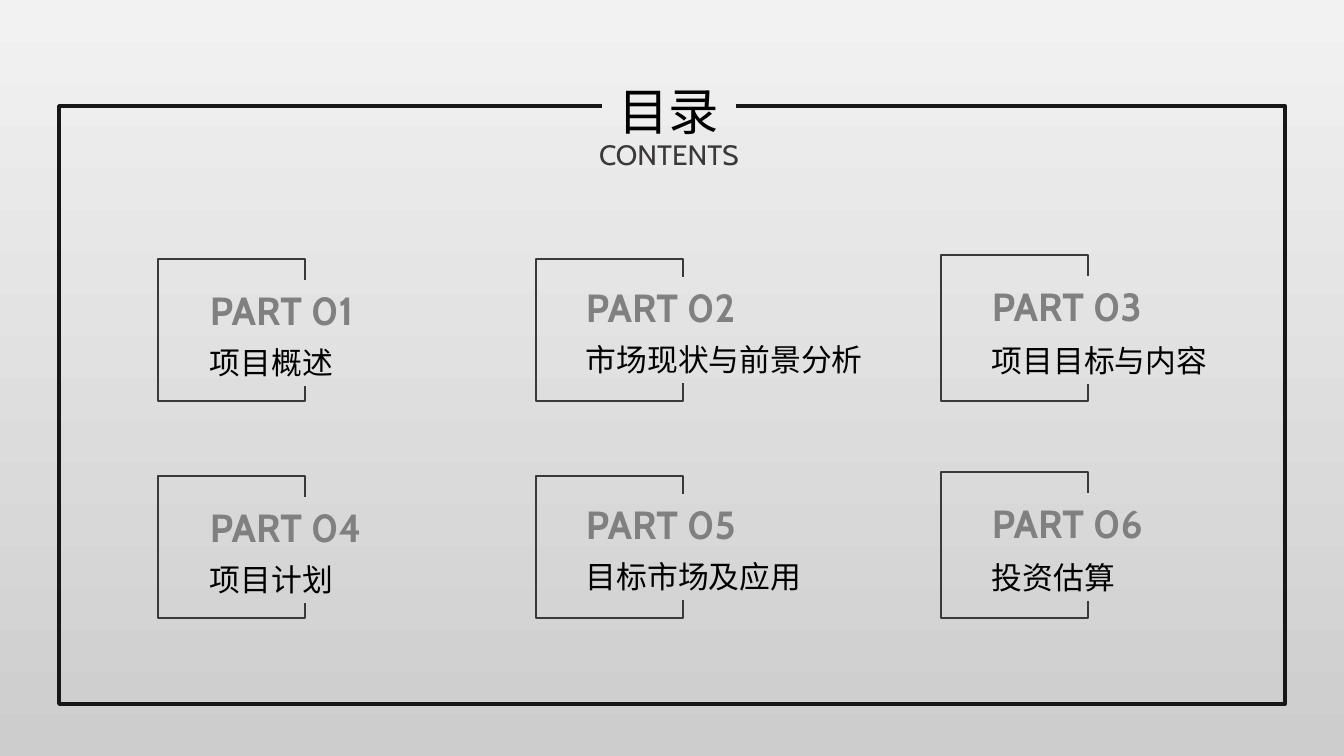
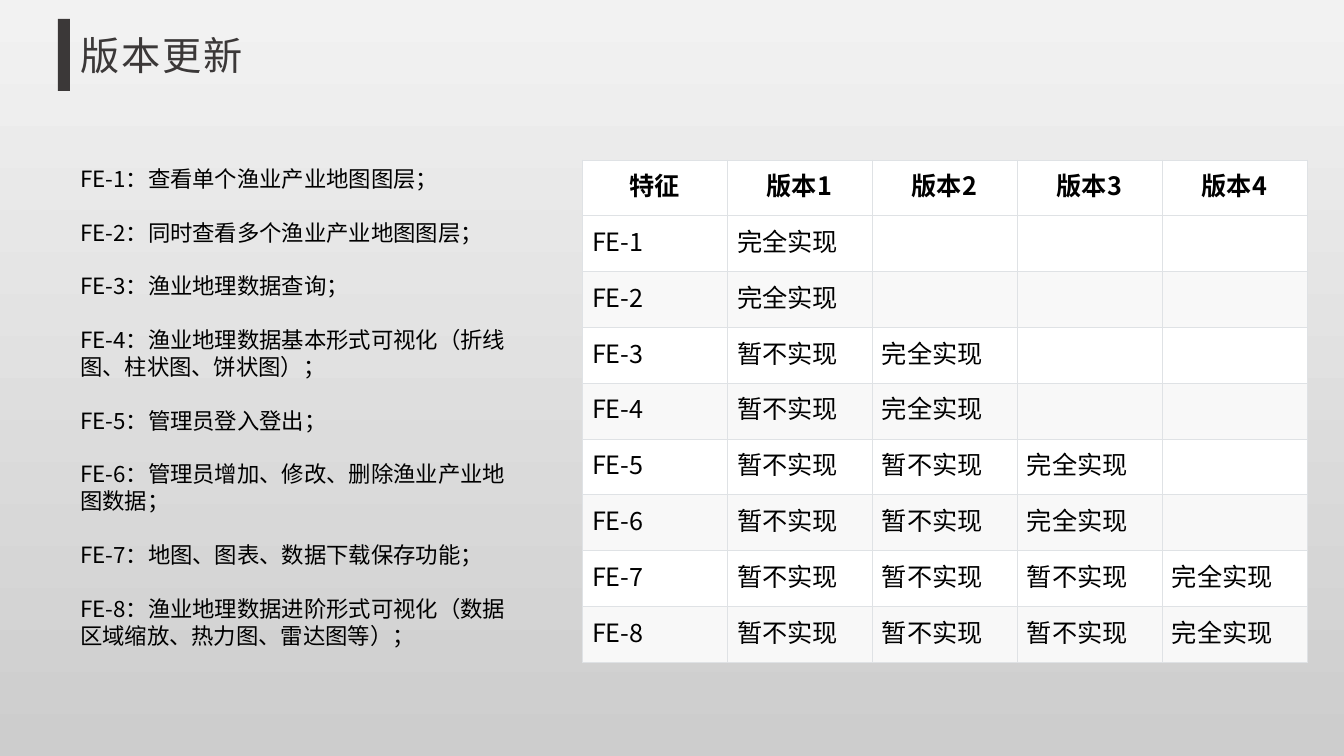
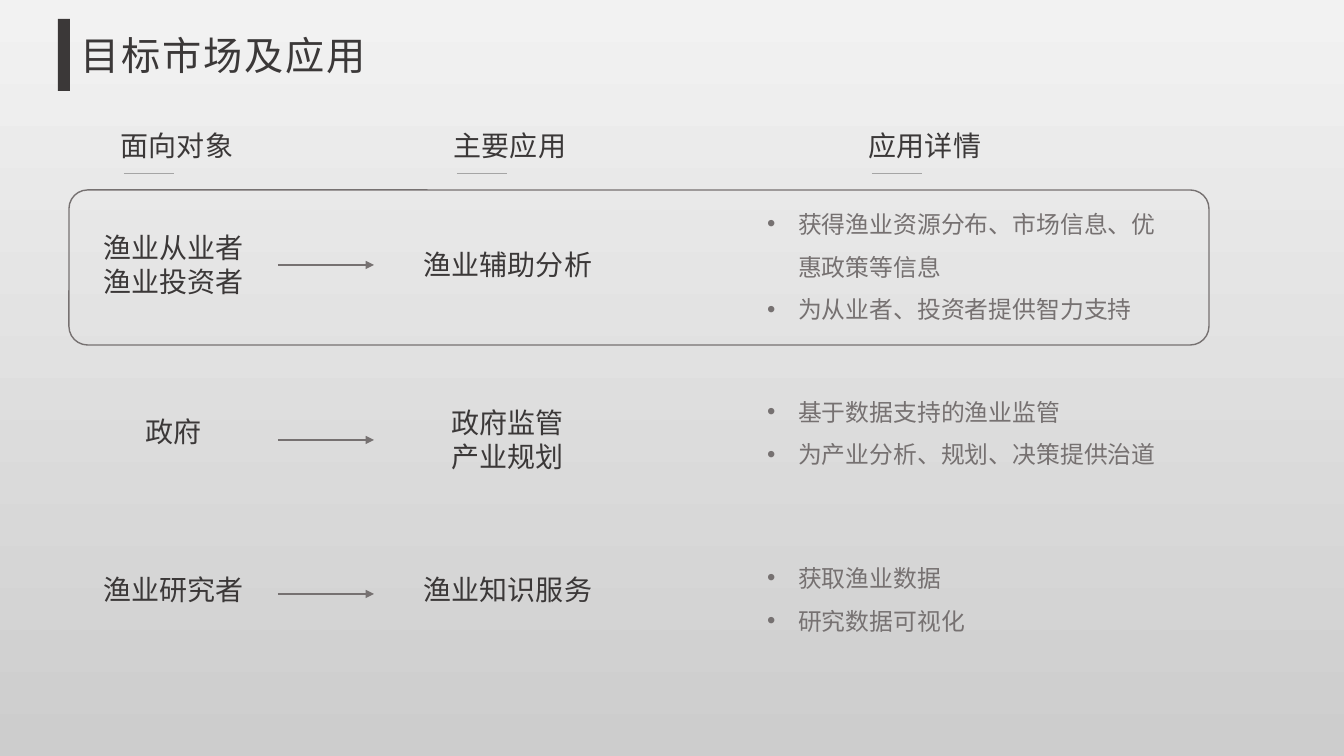
from lxml import etree
from pptx import Presentation
from pptx import util as u
from pptx.dml.color import RGBColor
from pptx.enum import shapes as kinds, text as txt
from pptx.oxml import ns

PX = 12192000 / 1344
CJK, LATIN = "Noto Sans CJK SC", "Cabin"
COLORS = {
    "sky": "F2F2F2", "ground": "CDCDCD", "frame": "181717", "dark": "3B3838",
    "black": "000000", "part": "808080", "detail": "767171", "rule": "A5A5A5",
    "grid": "DFE2E5", "white": "FFFFFF", "stripe": "F8F8F8",
}
RGB = {name: RGBColor.from_string(value) for name, value in COLORS.items()}
RECT = kinds.MSO_SHAPE.RECTANGLE
LEFT, CENTER = txt.PP_ALIGN.LEFT, txt.PP_ALIGN.CENTER


def write(frame, lines, size, color, face=CJK, bold=False, align=LEFT,
          pitch=1.2, gap=0, bullet=False):
    """Fill a text frame with equally formatted paragraphs."""
    frame.text = "\n".join(lines)
    frame.word_wrap = True
    frame.auto_size = txt.MSO_AUTO_SIZE.NONE
    frame.vertical_anchor = txt.MSO_ANCHOR.TOP
    for paragraph in frame.paragraphs:
        paragraph.alignment = align
        paragraph.line_spacing = u.Pt(round(size * pitch, 1))
        paragraph.space_before, paragraph.space_after = u.Pt(0), u.Pt(gap)
        for font in (paragraph.font, paragraph.runs[0].font):
            font.size, font.bold, font.name = u.Pt(size), bold, face
            font.color.rgb = RGB[color]
            etree.SubElement(font._element, ns.qn("a:ea"), typeface=face)
        props = paragraph.font._element.getparent()
        indent = round(31 * PX) if bullet else 0
        props.set("marL", str(indent))
        props.set("indent", str(-indent))
        mark = etree.Element(ns.qn("a:buChar" if bullet else "a:buNone"))
        if bullet:
            mark.set("char", "•")
        paragraph.font._element.addprevious(mark)


def place(shape, x, y, w, h):
    shape.left, shape.top = round(x * PX), round(y * PX)
    shape.width, shape.height = round(w * PX), round(h * PX)
    return shape


prs = Presentation()
prs.slide_width, prs.slide_height = round(1344 * PX), round(756 * PX)

# Shared background; layouts: title only, title and content, comparison
slides = [prs.slides.add_slide(prs.slide_layouts[n]) for n in (5, 1, 4)]
for slide in slides:
    backdrop = slide.background.fill
    backdrop.gradient()
    backdrop.gradient_angle = 270
    for stop, name in zip(backdrop.gradient_stops, ("sky", "ground")):
        stop.color.rgb = RGB[name]
contents, versions, market = slides

# Shared heading of the content slides
for slide, heading in ((versions, "版本更新"), (market, "目标市场及应用")):
    title = place(slide.shapes.title, 70, 26, 372, 57)
    write(title.text_frame, [heading], 28, "dark")
    title.text_frame.paragraphs[0].runs[0].font._element.set("spc", "140")
    bar = slide.shapes.add_shape(RECT, 0, 0, 0, 0)
    place(bar, 58, 19, 12, 72)
    bar.shadow.inherit = False
    bar.fill.solid()
    bar.fill.fore_color.rgb = RGB["dark"]
    bar.line.fill.background()

# Contents: outer frame behind a title that interrupts it
outlines = [(59, 106, 1226, 598, "frame", 2.5)]
masks = []
parts = ["项目概述", "市场现状与前景分析", "项目目标与内容",
         "项目计划", "目标市场及应用", "投资估算"]
columns = [  # bracket x, y, height; label x, y, height
    (158, 259, 142, 200, 281, 58),
    (536, 259, 142, 576, 278, 58),
    (941, 255, 146, 982, 277, 60),
]
for i, part in enumerate(parts):
    x, y, h, label_x, label_y, label_h = columns[i % 3]
    drop = i // 3 * 217
    outlines.append((x, y + drop, 147, h, "dark", 1.5))
    masks.append((f"PART {i + 1:02}", label_x, label_y + drop, 198, label_h,
                  28, "part", LATIN, True))
    masks.append((part, label_x, label_y + drop + label_h,
                  max(198, 31 * len(part) + 33), 47, 22, "black", CJK, False))

for x, y, w, h, color, weight in outlines:
    outline = place(contents.shapes.add_shape(RECT, 0, 0, 0, 0), x, y, w, h)
    outline.shadow.inherit = False
    outline.fill.background()
    outline.line.color.rgb = RGB[color]
    outline.line.width = u.Pt(weight)

title = place(contents.shapes.title, 602, 75, 134, 72)
write(title.text_frame, ["目录"], 36, "black", align=CENTER)
title._element.set("useBgFill", "1")
outer = contents.shapes[1]._element
title._element.addprevious(outer)
subtitle = place(contents.shapes.add_textbox(0, 0, 0, 0), 562, 133, 214, 44)
write(subtitle.text_frame, ["CONTENTS"], 20, "dark", LATIN, align=CENTER)

# Labels filled with the slide background open the brackets
for label, x, y, w, h, size, color, face, bold in masks:
    mask = place(contents.shapes.add_shape(RECT, 0, 0, 0, 0), x, y, w, h)
    mask.shadow.inherit = False
    mask.line.fill.background()
    mask._element.remove(mask._element.find(ns.qn("p:style")))
    mask._element.set("useBgFill", "1")
    write(mask.text_frame, [label], size, color, face, bold)

# Versions: feature list
features = [
    "查看单个渔业产业地图图层；",
    "同时查看多个渔业产业地图图层；",
    "渔业地理数据查询；",
    "渔业地理数据基本形式可视化（折线图、柱状图、饼状图）；",
    "管理员登入登出；",
    "管理员增加、修改、删除渔业产业地图数据；",
    "地图、图表、数据下载保存功能；",
    "渔业地理数据进阶形式可视化（数据区域缩放、热力图、雷达图等）；",
]
feature_list = place(versions.placeholders[1], 70, 160, 463, 509)
write(feature_list.text_frame,
      [f"FE-{n}：{feature}" for n, feature in enumerate(features, 1)],
      16, "black", gap=19.2)

# Versions: two features are finished in each version
rows = [["特征"] + [f"版本{n}" for n in range(1, 5)]]
for n in range(8):
    pending = n // 2
    rows.append([f"FE-{n + 1}"] + ["暂不实现"] * pending + ["完全实现"]
                + [""] * (3 - pending))
plan = versions.shapes.add_table(9, 5, round(582 * PX), round(160 * PX),
                                 round(725 * PX), round(504 * PX)).table
for column in plan.columns:
    column.width = round(145 * PX)
for r, row in enumerate(rows):
    plan.rows[r].height = round(55.8 * PX)
    for c, value in enumerate(row):
        cell = plan.cell(r, c)
        cell.fill.solid()
        cell.fill.fore_color.rgb = RGB["stripe" if r and r % 2 == 0 else "white"]
        if value:
            write(cell.text_frame, [value], 18, "black", bold=r == 0,
                  align=LEFT if r else CENTER)
        cell.vertical_anchor = txt.MSO_ANCHOR.MIDDLE
        for i, side in enumerate(("lnL", "lnR", "lnT", "lnB")):
            edge = etree.Element(ns.qn(f"a:{side}"), w="6858")
            ink = etree.SubElement(edge, ns.qn("a:solidFill"))
            etree.SubElement(ink, ns.qn("a:srgbClr"), val=COLORS["grid"])
            cell._tc.tcPr.insert(i, edge)

# Market: column headings, each with a short rule
rules = []
for x, heading in ((111, "面向对象"), (444, "主要应用"), (859, "应用详情")):
    box = place(market.shapes.add_textbox(0, 0, 0, 0), x, 124, 198, 44)
    write(box.text_frame, [heading], 20, "dark")
    rules.append((x + 13, x + 63, 173, "rule", 0.5, None))

# Market: audience, application, details
audiences = [  # audience y, application y, arrow y, details y and height
    (["渔业从业者", "渔业投资者"], 226, ["渔业辅助分析"], 243, 265,
     ["获得渔业资源分布、市场信息、优惠政策等信息", "为从业者、投资者提供智力支持"], 190, 135),
    (["政府"], 410, ["政府监管", "产业规划"], 401, 440,
     ["基于数据支持的渔业监管", "为产业分析、规划、决策提供治道"], 378, 92),
    (["渔业研究者"], 568, ["渔业知识服务"], 568, 594,
     ["获取渔业数据", "研究数据可视化"], 544, 92),
]
for i, (who, who_y, use, use_y, arrow_y, details, y, h) in enumerate(audiences, 1):
    ends = []
    for lines, x, top, w, side in ((who, 69, who_y, 209, 3), (use, 374, use_y, 268, 1)):
        height = 44 if len(lines) == 1 else 78
        box = place(market.shapes.add_textbox(0, 0, 0, 0), x, top, w, height)
        write(box.text_frame, lines, 20, "dark", align=CENTER)
        ends.append((box, side) if top + height // 2 == arrow_y else None)
    rules.append((278, 374, arrow_y, "detail", 1, ends))
    detail_list = place(market.placeholders[i], 757, y, 413, h)
    write(detail_list.text_frame, details, 17, "detail", pitch=1.8, bullet=True)
spare = market.placeholders[4]._element
spare.getparent().remove(spare)

# Market: rules and arrows
for x1, x2, y, color, weight, ends in rules:
    line = market.shapes.add_connector(
        kinds.MSO_CONNECTOR.STRAIGHT,
        round(x1 * PX), round(y * PX), round(x2 * PX), round(y * PX))
    line.line.color.rgb = RGB[color]
    line.line.width = u.Pt(weight)
    etree.SubElement(line._element.spPr, ns.qn("a:effectLst"))
    if ends:
        etree.SubElement(line.line._get_or_add_ln(), ns.qn("a:tailEnd"),
                         type="triangle")
        for join, end in zip((line.begin_connect, line.end_connect), ends):
            if end:
                join(*end)

# Market: outline around the main audience
focus = market.shapes.add_shape(kinds.MSO_SHAPE.ROUNDED_RECTANGLE, 0, 0, 0, 0)
place(focus, 69, 190, 1140, 155)
focus.adjustments[0] = 0.12
focus.shadow.inherit = False
focus.fill.background()
focus.line.color.rgb = RGB["detail"]
focus.line.width = u.Pt(1)

prs.save("out.pptx")
